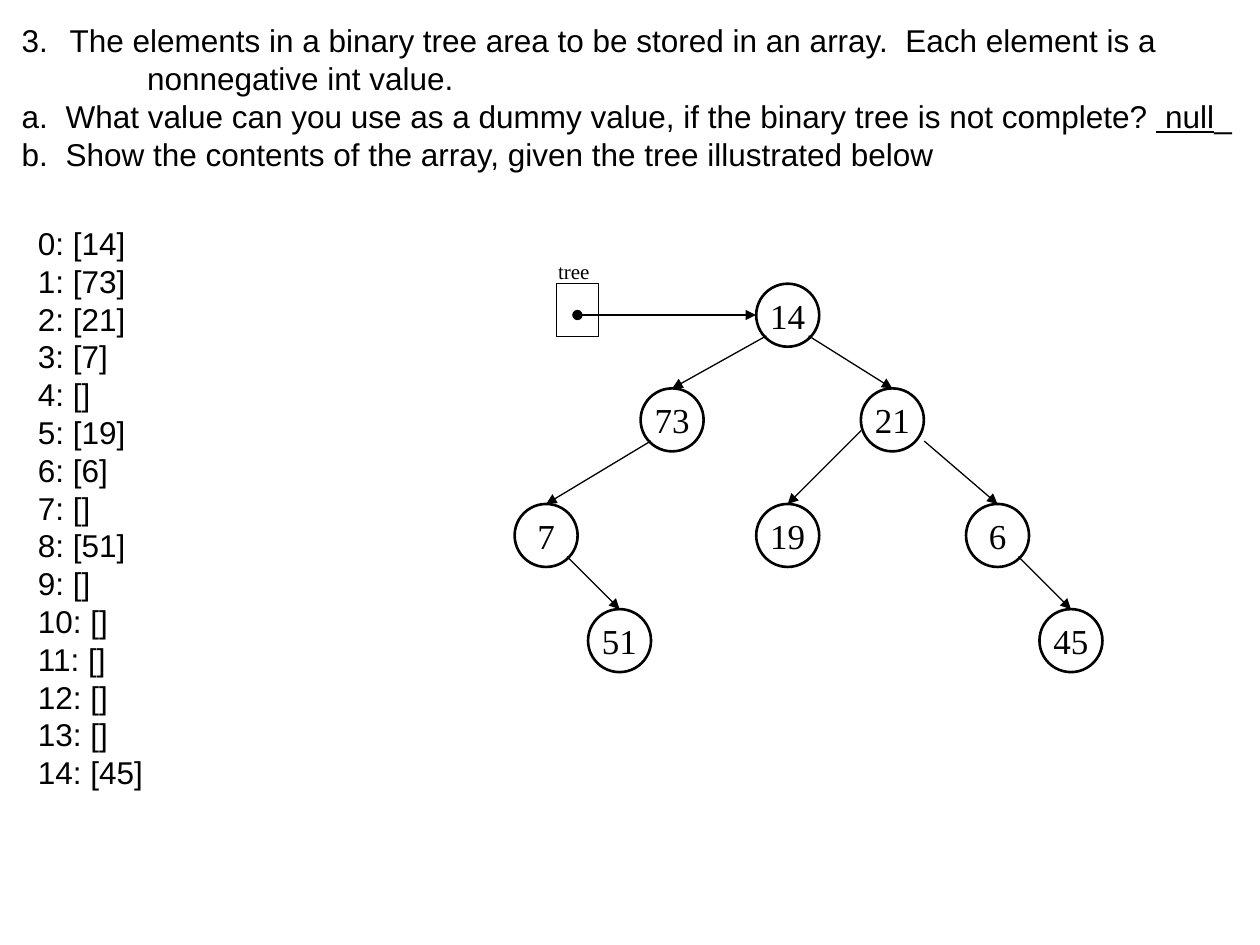
from lxml import etree
from pptx import Presentation
from pptx.dml.color import RGBColor
from pptx.enum.shapes import MSO_CONNECTOR, MSO_SHAPE
from pptx.enum.text import MSO_ANCHOR, MSO_AUTO_SIZE, PP_ALIGN
from pptx.oxml.ns import qn
from pptx.util import Cm, Pt

LEFT, CENTER = PP_ALIGN.LEFT, PP_ALIGN.CENTER
TOP, MIDDLE = MSO_ANCHOR.TOP, MSO_ANCHOR.MIDDLE
NO_FIT = MSO_AUTO_SIZE.NONE
STRAIGHT = MSO_CONNECTOR.STRAIGHT
OVAL, RECTANGLE = MSO_SHAPE.OVAL, MSO_SHAPE.RECTANGLE
BLACK = "000000"
SANS, SERIF = "Arial", "Times New Roman"
DIAMETER = 1.27
LEVEL_TOPS = [5.72, 7.83, 10.16, 12.28]
ARRAY = [14, 73, 21, 7, None, 19, 6, None, 51, None, None, None, None, None, 45]
NODE_CENTERS = {0: 15.88, 1: 13.55, 2: 17.99, 3: 11.01, 5: 15.88, 6: 20.11,
                8: 12.49, 14: 21.59}
EDGE_STARTS = {1: (15.45, 6.77), 2: (16.3, 6.77), 3: (13.12, 8.89),
               5: (17.36, 8.68), 6: (18.63, 8.89), 8: (11.43, 11.22),
               14: (20.53, 11.22)}
QUESTION = [
    ("The elements in a binary tree area to be stored in an array.  "
     "Each element is a", 0.97, -0.97, ("arabicPeriod", 3)),
    ("nonnegative int value.", 3.5, -0.97, None),
    ("What value can you use as a dummy value, if the binary tree is not "
     "complete? ", 0.89, -0.89, ("alphaLcPeriod", 1)),
    ("Show the contents of the array, given the tree illustrated below",
     0.89, -0.89, ("alphaLcPeriod", 2)),
]


def color(value):
    """Turn a hex string into a colour."""
    return RGBColor.from_string(value)


def place(shape, left, top, width, height):
    """Move and size a shape, in centimetres."""
    shape.left, shape.top = Cm(left), Cm(top)
    shape.width, shape.height = Cm(width), Cm(height)


def style_paragraph(para, name, size, alignment=LEFT):
    """Set the font, spacing and alignment of a paragraph."""
    para.alignment = alignment
    para.space_before = Pt(0)
    para.font.name = name
    para.font.size = Pt(size)
    para.font.color.rgb = color(BLACK)


def set_list_format(para, margin=0, indent=0, numbering=None):
    """Set the indents of a paragraph and its number, if it has one."""
    properties = para._p.get_or_add_pPr()
    properties.set("marL", str(Cm(margin)))
    properties.set("indent", str(Cm(indent)))
    if numbering:
        scheme, start = numbering
        etree.SubElement(properties, qn("a:buAutoNum"), type=scheme,
                         startAt=str(start))
    else:
        etree.SubElement(properties, qn("a:buNone"))


def prepare_frame(holder):
    """Make a placeholder's text start at the top and keep its size."""
    frame = holder.text_frame
    frame.word_wrap = True
    frame.auto_size = NO_FIT
    frame.vertical_anchor = TOP
    return frame


def fill_question(holder):
    """Write the numbered question with its underlined answer."""
    place(holder, 0.18, 0.3, 25.12, 3.33)
    frame = prepare_frame(holder)
    for number, (text, margin, indent, numbering) in enumerate(QUESTION):
        para = frame.add_paragraph() if number else frame.paragraphs[0]
        para.add_run().text = text
        set_list_format(para, margin, indent, numbering)
        style_paragraph(para, SANS, 18)
    answer_para = frame.paragraphs[2]
    span = answer_para.add_run()
    span.text = " null"
    span.font.underline = True
    answer_para.add_run().text = "_"


def fill_array(holder):
    """List each array index with its value."""
    place(holder, 0.51, 4.39, 7.42, 11.79)
    frame = prepare_frame(holder)
    frame.text = "\n".join(f"{index}: [{'' if value is None else value}]"
                           for index, value in enumerate(ARRAY))
    for para in frame.paragraphs:
        set_list_format(para)
        style_paragraph(para, SANS, 18)


def add_outline(page, kind, left, top, width, height, weight):
    """Add an unfilled shape with a black outline."""
    shape = page.shapes.add_shape(kind, Cm(left), Cm(top), Cm(width), Cm(height))
    shape.shadow.inherit = False
    shape.fill.background()
    shape.line.color.rgb = color(BLACK)
    shape.line.width = Pt(weight)
    return shape


def add_node(page, index):
    """Add the circle of one tree node at its level."""
    level = (index + 1).bit_length() - 1
    node = add_outline(page, OVAL, NODE_CENTERS[index] - DIAMETER / 2,
                       LEVEL_TOPS[level], DIAMETER, DIAMETER, 1.5)
    frame = node.text_frame
    frame.word_wrap = False
    frame.vertical_anchor = MIDDLE
    frame.text = str(ARRAY[index])
    style_paragraph(frame.paragraphs[0], SERIF, 20, CENTER)
    return node


def add_arrow(page, start, end, has_dot=False):
    """Add a thin arrow, with a dot at its start if wanted."""
    arrow = page.shapes.add_connector(STRAIGHT, *map(Cm, start + end))
    arrow.line.color.rgb = color(BLACK)
    arrow.line.width = Pt(0.75)
    line = arrow.line._get_or_add_ln()
    if has_dot:
        etree.SubElement(line, qn("a:headEnd"), type="oval")
    etree.SubElement(line, qn("a:tailEnd"), type="triangle")
    etree.SubElement(arrow._element.spPr, qn("a:effectLst"))
    return arrow


def add_label(page, text, left, top, width, height):
    """Add a small one-line label."""
    box = page.shapes.add_textbox(Cm(left), Cm(top), Cm(width), Cm(height))
    box.text_frame.word_wrap = False
    box.text_frame.text = text
    style_paragraph(box.text_frame.paragraphs[0], SERIF, 12)


def add_tree(page):
    """Draw the nodes, the edges and the pointer to the root."""
    nodes = {index: add_node(page, index) for index in NODE_CENTERS}
    for index, start in EDGE_STARTS.items():
        edge = add_arrow(page, start, start)
        edge.end_connect(nodes[index], 0)
    add_outline(page, RECTANGLE, 11.22, 5.72, 0.85, 1.06, 0.75)
    add_arrow(page, (11.64, 6.35), (15.24, 6.35), has_dot=True)
    add_label(page, "tree", 11, 5.08, 1.14, 0.76)


def main():
    """Build the slide and save it."""
    deck = Presentation()
    deck.slide_width, deck.slide_height = Cm(25.4), Cm(19.05)
    page = deck.slides.add_slide(deck.slide_layouts[1])
    fill_question(page.shapes.title)
    fill_array(page.placeholders[1])
    add_tree(page)
    deck.save("out.pptx")


if __name__ == "__main__":
    main()
